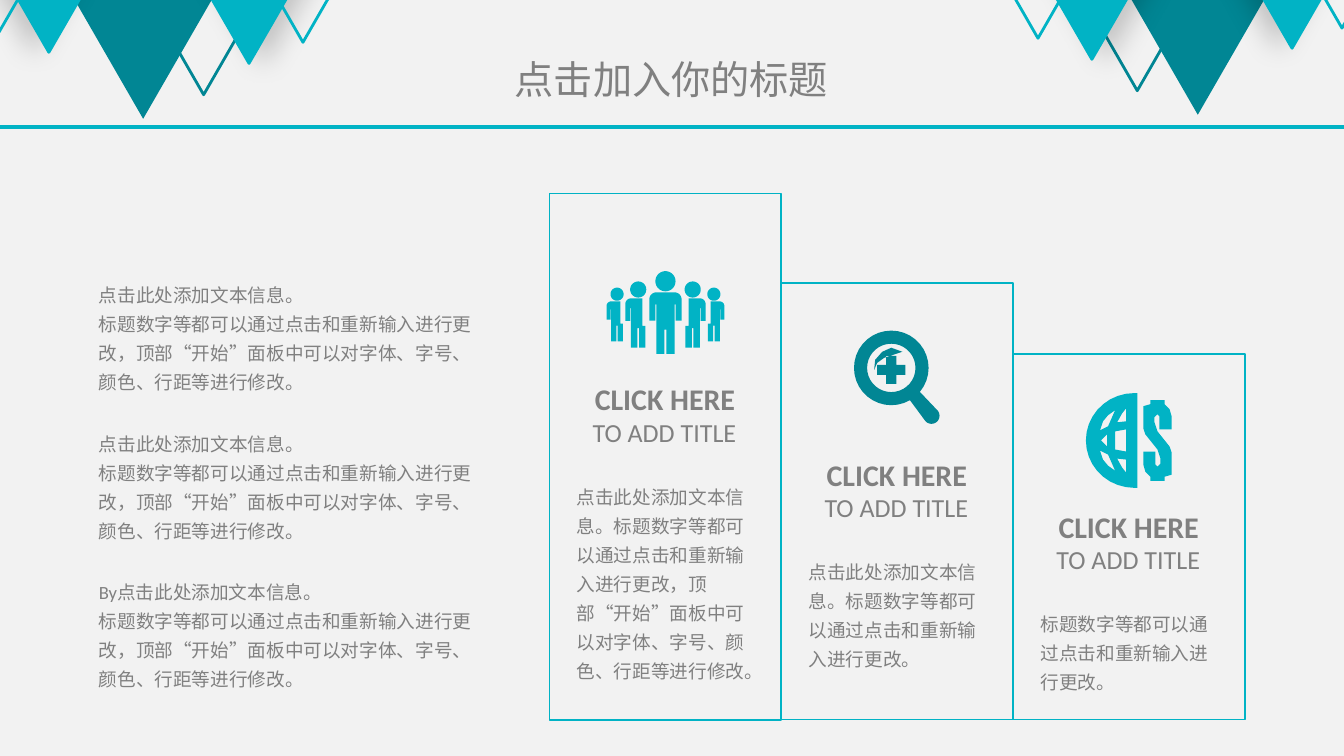
import itertools
import math

import pptx
import pptx.dml.color
import pptx.enum.shapes
import pptx.enum.text
import pptx.oxml
import pptx.oxml.ns
import pptx.util
from pptx.util import Inches

CYAN, TEAL, GREY = "01B3C5", "018694", "808080"
SLIDE_WIDTH = 13.33
SHAPES = pptx.enum.shapes.MSO_SHAPE
CENTER = pptx.enum.text.PP_ALIGN.CENTER
ANCHOR = pptx.enum.text.MSO_ANCHOR
FIT = pptx.enum.text.MSO_AUTO_SIZE
NAMESPACE = pptx.oxml.ns.nsdecls("a")


def paint(fill, color):
    """Give a fill a hex colour, or none."""
    if color is None:
        fill.background()
    else:
        fill.solid()
        fill.fore_color.rgb = pptx.dml.color.RGBColor.from_string(color)


def write(shape, text, size, bold=False, align=pptx.enum.text.PP_ALIGN.LEFT, spacing=1.0,
          margins=(0.13, 0.07), wrap=True, fit=FIT.SHAPE_TO_FIT_TEXT, anchor=ANCHOR.TOP):
    """Fill a text shape, one paragraph a line; Latin and Chinese get their own fonts."""
    frame = shape.text_frame
    frame.word_wrap, frame.auto_size, frame.vertical_anchor = wrap, fit, anchor
    frame.margin_left = frame.margin_right = Inches(margins[0])
    frame.margin_top = frame.margin_bottom = Inches(margins[1])
    for number, line in enumerate(text.split("\n")):
        paragraph = frame.add_paragraph() if number else frame.paragraphs[0]
        paragraph.alignment, paragraph.line_spacing = align, spacing
        for is_latin, letters in itertools.groupby(line, key=str.isascii):
            run = paragraph.add_run()
            run.text = "".join(letters)
            run.font.size, run.font.bold = pptx.util.Pt(size), bold
            run.font.name = "Calibri" if is_latin else "Noto Sans CJK SC"
            paint(run.font.fill, GREY)
            run.font._element.append(pptx.oxml.parse_xml(
                f'<a:ea {NAMESPACE} typeface="Noto Sans CJK SC"/>'))


presentation = pptx.Presentation()
presentation.slide_width, presentation.slide_height = Inches(SLIDE_WIDTH), Inches(7.5)
slide = presentation.slides.add_slide(presentation.slide_layouts[5])
shapes = slide.shapes
paint(slide.background.fill, "F2F2F2")

# Title and the rule below it
title = shapes.title
title.left, title.top, title.width, title.height = map(Inches, (4.78, 0.55, 3.76, 0.47))
write(title, "点击加入你的标题", 28, align=CENTER, margins=(0, 0),
      fit=FIT.NONE, anchor=ANCHOR.MIDDLE)
rule = shapes.add_connector(pptx.enum.shapes.MSO_CONNECTOR.STRAIGHT,
                            0, Inches(1.26), Inches(SLIDE_WIDTH), Inches(1.26))
paint(rule.line.fill, CYAN)
rule.line.width = pptx.util.Pt(3)
rule.element.spPr.append(pptx.oxml.parse_xml(f"<a:effectLst {NAMESPACE}/>"))

# Pennants: left, top, width, height, fill, line, shadow direction; the left set is mirrored
pennants = [
    (10.29, -1.62, 3.18, 2.76, TEAL, None, None),
    (9.83, -1.62, 2.9, 2.52, None, TEAL, None),
    (9.41, -1.87, 2.84, 2.46, CYAN, CYAN, 0),
    (9, -1.87, 2.59, 2.25, None, CYAN, None),
    (11.53, -1.75, 2.57, 2.23, CYAN, CYAN, 180),
    (12.14, -1.75, 2.34, 2.03, None, CYAN, None),
]
for mirrored in (False, True):
    for left, top, width, height, fill, line, direction in pennants:
        if mirrored:
            left, top = 13.3 - left - width, top + 0.04
        pennant = shapes.add_shape(SHAPES.ISOSCELES_TRIANGLE,
                                   *map(Inches, (left, top, width, height)))
        pennant.element.spPr.get_or_add_xfrm().set("flipV", "1")
        paint(pennant.fill, fill)
        paint(pennant.line.fill, line)
        if line:
            pennant.line.width = pptx.util.Pt(2)
        pennant.shadow.inherit = False
        if direction is not None:
            effects = pennant.element.spPr.find(pptx.oxml.ns.qn("a:effectLst"))
            effects.append(pptx.oxml.parse_xml(
                f'<a:outerShdw {NAMESPACE} blurRad="{pptx.util.Pt(20)}" '
                f'dist="{pptx.util.Pt(10)}" dir="{direction * 60000}" rotWithShape="0">'
                '<a:srgbClr val="000000"><a:alpha val="20000"/></a:srgbClr></a:outerShdw>'))

# Three descending columns: top of frame, top of heading, height of body, body
COLUMN_LEFT, COLUMN_WIDTH, COLUMN_BOTTOM = 5.45, 2.3, 7.14
columns = [
    (1.92, 3.71, 2.47, "点击此处添加文本信息。标题数字等都可以通过点击和重新输入进行更改，"
                       "顶部“开始”面板中可以对字体、字号、颜色、行距等进行修改。"),
    (2.81, 4.46, 1.3, "点击此处添加文本信息。标题数字等都可以通过点击和重新输入进行更改。"),
    (3.51, 4.97, 1.01, "标题数字等都可以通过点击和重新输入进行更改。"),
]
for number, (top, heading_top, body_height, body) in enumerate(columns):
    left = COLUMN_LEFT + COLUMN_WIDTH * number
    column = shapes.add_shape(SHAPES.RECTANGLE, *map(
        Inches, (left, top, COLUMN_WIDTH, COLUMN_BOTTOM - top)))
    paint(column.fill, None)
    paint(column.line.fill, CYAN)
    column.line.width = pptx.util.Pt(1.25)
    column.shadow.inherit = False
    # Each text: inset from the column, drop from the heading, size of box, format
    for inset, drop, width, height, text, size, look in (
            (0.14, 0.97, 2.02, body_height, body, 13.3, {"spacing": 1.3}),
            (0.31, 0, 1.67, 0.49, "CLICK HERE", 21.4,
             {"bold": True, "align": CENTER, "wrap": False}),
            (0.28, 0.35, 1.72, 0.45, "TO ADD TITLE", 18.6, {"align": CENTER, "wrap": False})):
        box = shapes.add_textbox(*map(Inches, (left + inset, heading_top + drop, width, height)))
        write(box, text, size, **look)

# Unit circle in steps of 10 degrees, clockwise from the right; slices of it are arcs
compass = [(math.cos(math.radians(angle)), math.sin(math.radians(angle)))
           for angle in range(0, 720, 10)]
circle = compass[:36]

# People: one body, scaled; the leader shows both arms, the others hide the inner one
shoulder = [(-0.09 + 0.07 * x, 0.07 + 0.07 * y) for x, y in compass[18:28]]
outer_half = [(-0.01, 0.37), (-0.01, 0.61), (-0.09, 0.61), (-0.09, 0.12),
              (-0.1, 0.12), (-0.1, 0.28), (-0.16, 0.28)] + shoulder
mirrored_half = [(-x, y) for x, y in reversed(outer_half)]
hidden_half = [(0.05, 0), (0.05, 0.34), (0.09, 0.34), (0.09, 0.61), (0.01, 0.61), (0.01, 0.37)]
head = [(0.1 * x, -0.11 + 0.1 * y) for x, y in circle]
people = [head, outer_half + mirrored_half]
for distance, drop, scale in ((0.27, 0.06, 0.8), (0.48, 0.09, 0.65)):
    for side in (-1, 1):
        for part in (head, outer_half + hidden_half):
            people.append([(side * (distance - scale * x), drop + scale * y) for x, y in part])

# Magnifier: the rim is open at 50 degrees, where the round-ended handle leaves it
handle_x, handle_y = (0.62 * part for part in compass[5])
rim = [(0.37 * x, 0.37 * y) for x, y in compass[6:41]]
handle = [(handle_x + 0.08 * x, handle_y + 0.08 * y) for x, y in compass[32:51]]
lens = [(0.24 * x, 0.24 * y) for x, y in circle]
plus, arm = [], [(0.14, -0.05), (0.14, 0.05), (0.05, 0.05)]
for quarter in range(4):
    plus += [(x, y + 0.02) for x, y in arm]
    arm = [(-y, x) for x, y in arm]
glint = [(-0.17, 0.02), (-0.14, -0.05), (-0.07, -0.1), (0.11, -0.16),
         (0, -0.2), (-0.09, -0.16), (-0.16, -0.08)]
magnifier = [rim + handle, lens, plus, glint]

# Globe and dollar: upper gaps repeat below; half of the sign turns by 180 degrees
half_globe = [(0.48 * x, 0.47 * y) for x, y in compass[9:28]] + [(0.03, -0.47), (0.03, 0.47)]
belt_gaps = [[(-0.08, -0.11), (-0.19, -0.09), (-0.19, 0.09), (-0.08, 0.11)],
             [(-0.27, -0.06), (-0.33, 0), (-0.27, 0.06)]]
upper_gaps = [[(-0.08, -0.19), (-0.17, -0.18), (-0.12, -0.27), (-0.08, -0.32)],
              [(-0.26, -0.14), (-0.34, -0.1), (-0.31, -0.19), (-0.26, -0.25), (-0.19, -0.3)]]
lower_gaps = [[(x, -y) for x, y in gap] for gap in upper_gaps]
upper_sign = [(-0.14, -0.12), (-0.14, -0.34), (-0.07, -0.36), (-0.07, -0.4), (0.07, -0.4),
              (0.07, -0.36), (0.12, -0.31), (0.14, -0.24), (0.14, -0.11), (0.02, -0.11),
              (0.02, -0.24), (0, -0.26), (-0.03, -0.23), (-0.03, -0.18), (0, -0.09), (0.12, 0.06)]
dollar = [(0.23 + turn * x, turn * y) for turn in (1, -1) for x, y in upper_sign]
globe_and_dollar = [half_globe, *belt_gaps, *upper_gaps, *lower_gaps, dollar]

# Draw each icon around its centre; inner outlines become holes
for center_x, center_y, color, outlines in ((8.84, 3.65, TEAL, magnifier),
                                            (6.6, 2.9, CYAN, people),
                                            (11.25, 4.37, CYAN, globe_and_dollar)):
    builder = None
    for outline in outlines:
        start, *others = [(Inches(center_x + x), Inches(center_y + y)) for x, y in outline]
        if builder is None:
            builder = shapes.build_freeform(*start)
        else:
            builder.move_to(*start)
        builder.add_line_segments(others, close=True)
    icon = builder.convert_to_shape()
    paint(icon.fill, color)
    paint(icon.line.fill, None)
    icon.shadow.inherit = False

# Three notes on the left
for number, opening in enumerate(("", "", "By")):
    note = shapes.add_textbox(*map(Inches, (0.85, 2.68 + 1.475 * number, 4, 1.3)))
    write(note, opening + "点击此处添加文本信息。\n标题数字等都可以通过点击和重新输入进行更改，"
          "顶部“开始”面板中可以对字体、字号、颜色、行距等进行修改。", 13.3, spacing=1.3)

presentation.save("out.pptx")
